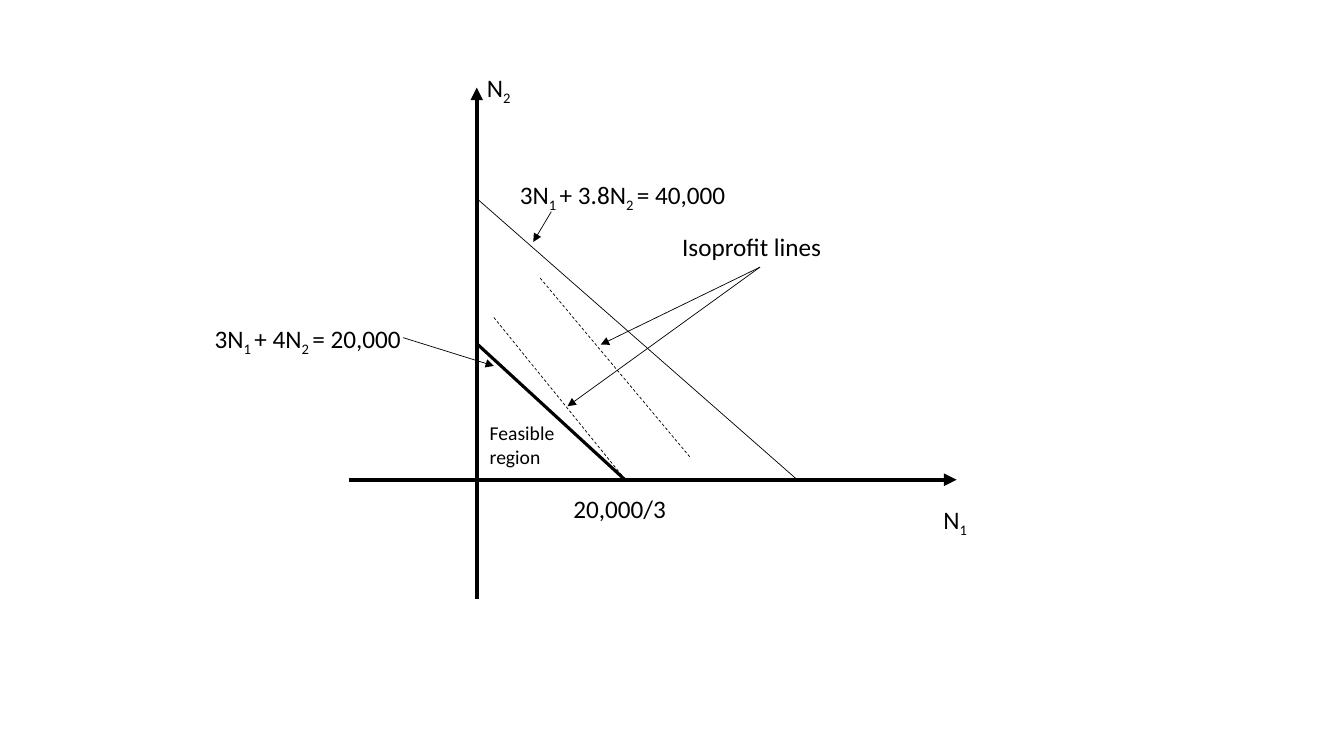
from dataclasses import dataclass

from lxml.etree import SubElement
from pptx import Presentation
from pptx.dml.color import RGBColor
from pptx.enum.dml import MSO_LINE
from pptx.enum.shapes import MSO_CONNECTOR
from pptx.enum.text import MSO_AUTO_SIZE
from pptx.oxml.ns import qn
from pptx.slide import Slide
from pptx.util import Pt

INK = "000000"
FONT = "Calibri"
THIN, BOLD, AXIS = 0.5, 2.25, 3
ORIGIN_X, ORIGIN_Y = 340.6, 342.7
ISOPROFIT_TIP = (542.9, 190.8)


@dataclass(frozen=True)
class Segment:
    start: tuple[float, float]
    end: tuple[float, float]
    weight: float = THIN
    dashed: bool = False
    arrow: bool = False


@dataclass(frozen=True)
class Label:
    """Text whose every second term is a subscript."""
    terms: tuple[str, ...]
    left: float
    top: float
    width: float
    height: float = 29
    size: float = 18


AXES = (
    Segment((249.1, ORIGIN_Y), (683.3, ORIGIN_Y), AXIS, arrow=True),
    Segment((ORIGIN_X, 427.7), (ORIGIN_X, 62.6), AXIS, arrow=True),
)
CONSTRAINTS = (
    Segment((ORIGIN_X, 245.5), (446.4, ORIGIN_Y), BOLD),
    Segment((ORIGIN_X, 141.8), (569.5, ORIGIN_Y)),
)
ISOPROFIT_LINES = (
    Segment((385.9, 198.7), (493.2, 326.9), dashed=True),
    Segment((352.8, 226.8), (445, 340.6), dashed=True),
)
POINTERS = (
    Segment((393.8, 151.2), (380.9, 172.8), arrow=True),
    Segment((288, 241.2), (352.8, 261.4), arrow=True),
    Segment(ISOPROFIT_TIP, (429.1, 246.2), arrow=True),
    Segment(ISOPROFIT_TIP, (405.4, 290.2), arrow=True),
)
LABELS = (
    Label(("N", "2"), 340.6, 48.2, 116.6),
    Label(("N", "1"), 666.7, 356.4, 116.6),
    Label(("3N", "1 ", "+ 4N", "2 ", "= 20,000"), 146.2, 227.5, 155.5),
    Label(("3N", "1 ", "+ 3.8N", "2 ", "= 40,000"), 364.3, 124.6, 181.4),
    Label(("Isoprofit lines",), 480.2, 162, 124.6),
    Label(("Feasible region",), 342.7, 297.4, 83.5, 41, 14),
    Label(("20,000/3",), 402.5, 348.5, 85),
)


def color(hex_code: str) -> RGBColor:
    return RGBColor.from_string(hex_code)


def draw_segment(slide: Slide, segment: Segment) -> None:
    ends = (Pt(value) for value in segment.start + segment.end)
    connector = slide.shapes.add_connector(MSO_CONNECTOR.STRAIGHT, *ends)
    line = connector.line
    line.width = Pt(segment.weight)
    line.color.rgb = color(INK)
    if segment.dashed:
        line.dash_style = MSO_LINE.DASH
    properties = connector._element.spPr
    if segment.arrow:
        SubElement(properties.find(qn("a:ln")), qn("a:tailEnd"), type="triangle")
    SubElement(properties, qn("a:effectLst"))


def draw_label(slide: Slide, label: Label) -> None:
    box = slide.shapes.add_textbox(
        Pt(label.left), Pt(label.top), Pt(label.width), Pt(label.height)
    )
    frame = box.text_frame
    frame.word_wrap = True
    frame.auto_size = MSO_AUTO_SIZE.SHAPE_TO_FIT_TEXT
    for index, term in enumerate(label.terms):
        run = frame.paragraphs[0].add_run()
        run.text = term
        run.font.name = FONT
        run.font.size = Pt(label.size)
        run.font.color.rgb = color(INK)
        if index % 2:
            run._r.get_or_add_rPr().set("baseline", "-25000")


def main() -> None:
    presentation = Presentation()
    presentation.slide_width = Pt(960)
    presentation.slide_height = Pt(540)
    slide = presentation.slides.add_slide(presentation.slide_layouts[6])
    for segment in AXES + CONSTRAINTS + ISOPROFIT_LINES + POINTERS:
        draw_segment(slide, segment)
    for label in LABELS:
        draw_label(slide, label)
    presentation.save("out.pptx")


if __name__ == "__main__":
    main()
